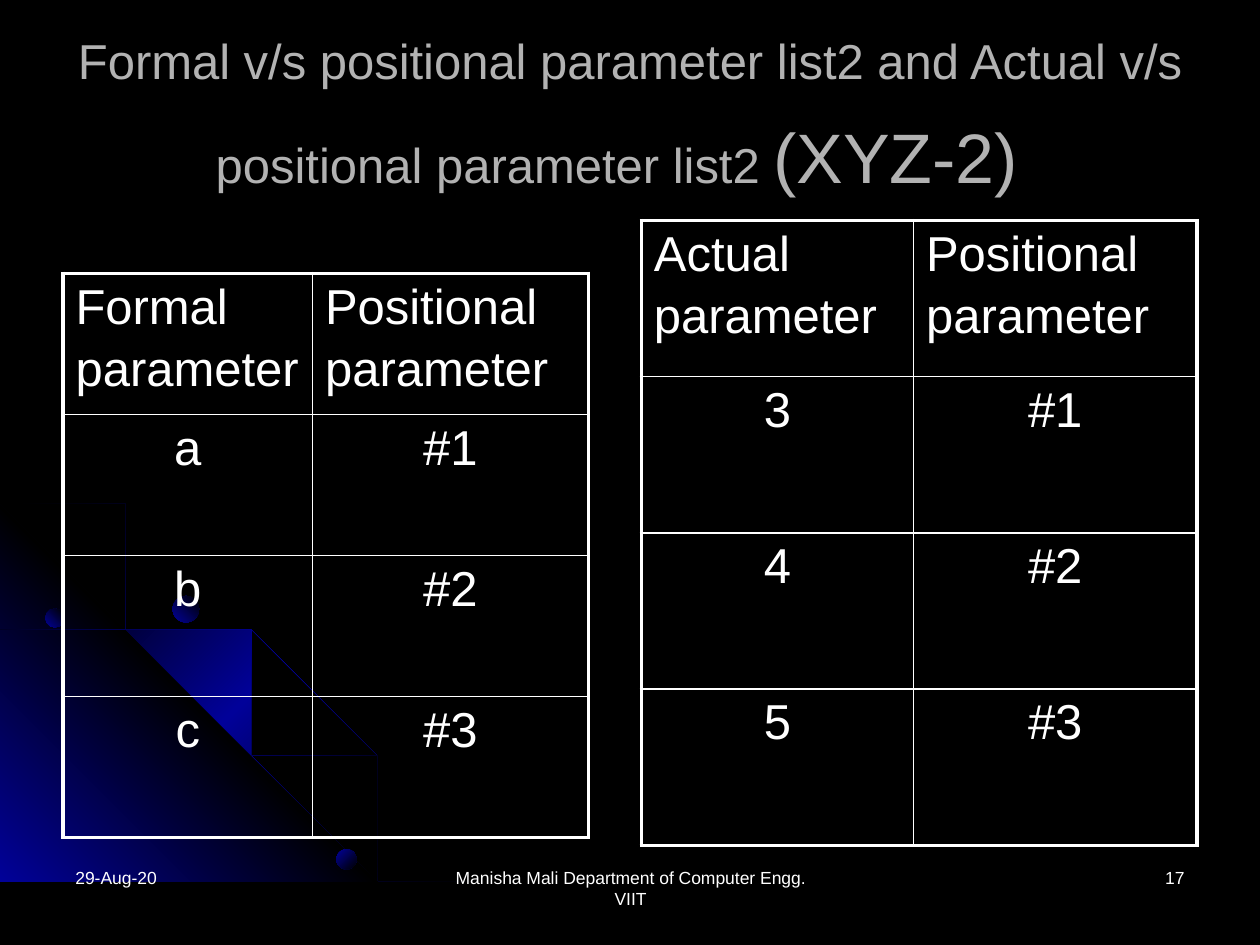
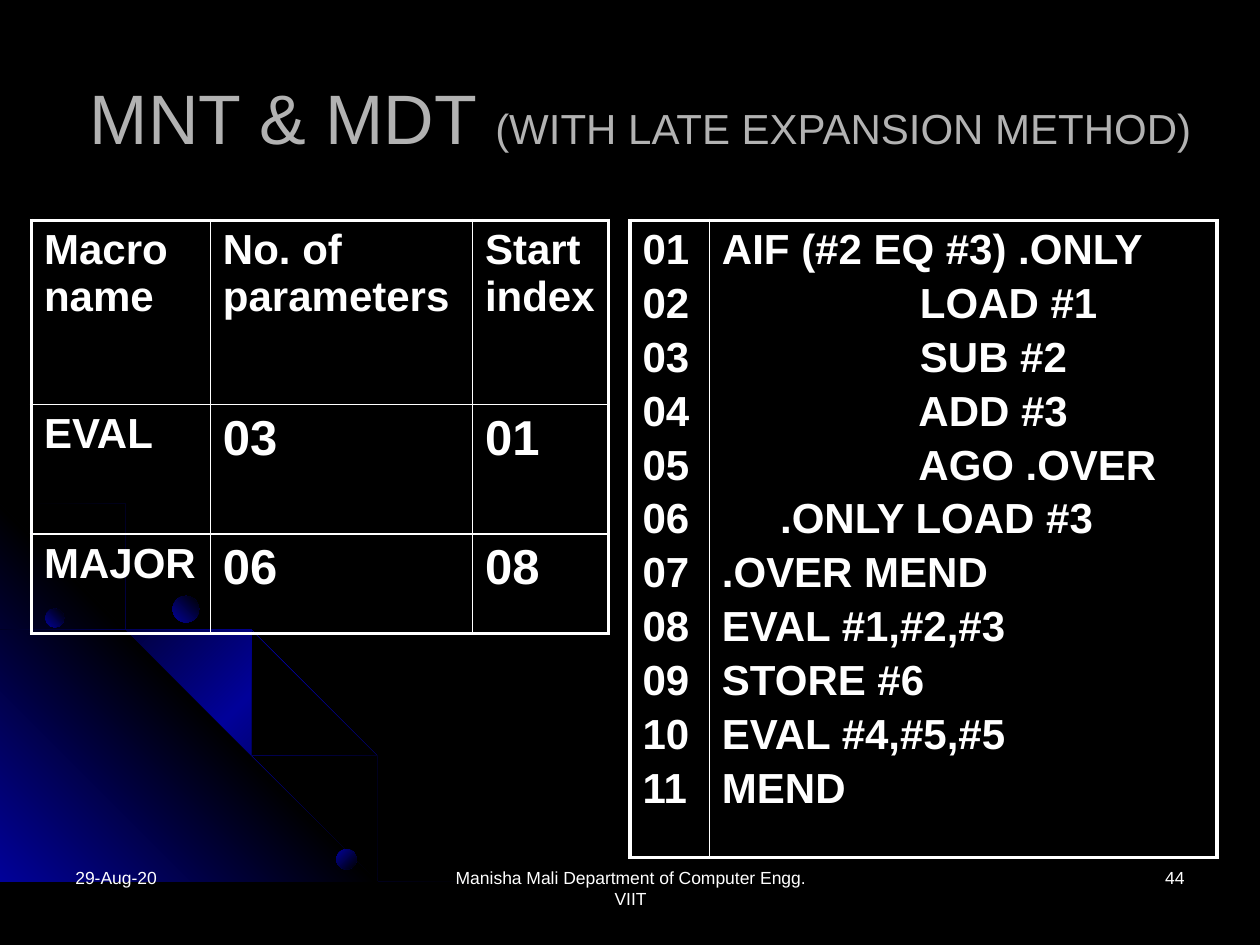
from lxml import etree
from pptx import Presentation
from pptx import util as u
from pptx.dml.color import RGBColor
from pptx.enum import shapes, text
from pptx.oxml import ns

BLACK = RGBColor(0x00, 0x00, 0x00)
BLUE = RGBColor(0x01, 0x01, 0x99)
WHITE = RGBColor(0xFF, 0xFF, 0xFF)
SILVER = RGBColor(0xB2, 0xB2, 0xB2)
FONT = "Arial"
LEFT, CENTER, RIGHT = text.PP_ALIGN.LEFT, text.PP_ALIGN.CENTER, text.PP_ALIGN.RIGHT

OUTER_LINE, INNER_LINE = 2.25, 1
TITLE_TOP, TITLE_HEIGHT = 0.3, 1.25
FOOTER_TOP, FOOTER_HEIGHT = 6.83, 0.5

# Corner decoration: outlines in inches
CORNER = [(3.22, 7.49), (0, 7.49), (0, 4.27)]
WIDE_ARC = [
    (0.57, 4.47), (0.28, 4.41), (0, 4.35), (0, 4.38), (0.28, 4.43), (0.56, 4.49),
    (0.97, 4.61), (1.35, 4.78), (1.73, 4.99), (2.08, 5.23), (2.41, 5.49), (2.71, 5.79),
    (2.98, 6.12), (3.23, 6.49), (3.37, 6.73), (3.5, 6.98), (3.6, 7.23), (3.7, 7.49),
    (3.72, 7.49), (3.62, 7.23), (3.52, 6.98), (3.39, 6.73), (3.25, 6.48), (3, 6.11),
    (2.72, 5.78), (2.42, 5.48), (2.09, 5.21), (1.74, 4.97), (1.36, 4.77), (0.98, 4.59),
]
LOW_ARC = [
    (2.85, 7.14), (2.94, 7.32), (3.01, 7.49), (3.03, 7.49), (2.96, 7.3), (2.86, 7.12),
    (2.66, 6.76), (2.42, 6.4), (2.15, 6.06), (1.84, 5.76), (1.52, 5.49), (1.17, 5.26),
    (0.79, 5.05), (0.41, 4.88), (0, 4.75), (0, 4.77), (0.39, 4.9), (0.77, 5.07),
    (1.15, 5.28), (1.5, 5.51), (1.83, 5.78), (2.13, 6.08), (2.4, 6.41), (2.65, 6.77),
]
MIDDLE_ARC = [
    (0, 4.42), (0, 4.44), (0.36, 4.57), (0.74, 4.75), (1.09, 4.94), (1.42, 5.18),
    (1.73, 5.44), (2.02, 5.75), (2.27, 6.05), (2.52, 6.41), (2.67, 6.67), (2.8, 6.94),
    (2.92, 7.22), (3.01, 7.49), (3.03, 7.49), (2.94, 7.2), (2.82, 6.93), (2.69, 6.65),
    (2.54, 6.39), (2.29, 6.03), (2.04, 5.73), (1.75, 5.43), (1.44, 5.16), (1.11, 4.93),
    (0.76, 4.73), (0.39, 4.55),
]
ARC_COLORS = (BLACK, BLUE, BLACK)
OUTLINES = [
    (WIDE_ARC, ARC_COLORS, 45),
    (CORNER, (BLUE, BLACK, BLUE), 315),
    (LOW_ARC, ARC_COLORS, 45),
    (MIDDLE_ARC, ARC_COLORS, 45),
]
DOTS = [(0.36, 4.83, 0.15, 315), (2.67, 6.74, 0.16, 45), (1.37, 4.73, 0.21, 315)]

MACRO_CODE = [
    "AIF (#2 EQ #3) .ONLY",
    "                 LOAD #1",
    "                 SUB #2",
    "                 ADD #3",
    "                 AGO .OVER",
    "     .ONLY LOAD #3",
    ".OVER MEND",
    "EVAL #1,#2,#3",
    "STORE #6",
    "EVAL #4,#5,#5",
    "MEND",
]


def set_font(font, size, color=WHITE, bold=False):
    font.name, font.size, font.bold = FONT, u.Pt(size), bold
    font.color.rgb = color


def paint_gradient(shape, colors, angle):
    """Evenly spaced colour stops, angle in degrees clockwise; no outline."""
    shape.shadow.inherit = False
    shape.line.fill.background()
    shape.fill.background()
    gradient = etree.Element(ns.qn("a:gradFill"), rotWithShape="1")
    stops = etree.SubElement(gradient, ns.qn("a:gsLst"))
    for index, color in enumerate(colors):
        position = 100000 * index // (len(colors) - 1)
        stop = etree.SubElement(stops, ns.qn("a:gs"), pos=str(position))
        etree.SubElement(stop, ns.qn("a:srgbClr"), val=str(color))
    etree.SubElement(gradient, ns.qn("a:lin"), ang=str(angle * 60000), scaled="1")
    properties = shape.element.spPr
    properties.replace(properties.find(ns.qn("a:noFill")), gradient)


def add_corner_art(page):
    for points, colors, angle in OUTLINES:
        builder = page.shapes.build_freeform(*points[0], scale=u.Inches(1))
        builder.add_line_segments(points[1:], close=True)
        paint_gradient(builder.convert_to_shape(), colors, angle)
    for left, top, size, angle in DOTS:
        dot = page.shapes.add_shape(
            shapes.MSO_SHAPE.OVAL, u.Inches(left), u.Inches(top), u.Inches(size), u.Inches(size))
        paint_gradient(dot, (BLUE, BLACK), angle)


def add_text(page, left, top, width, height, spans, color=WHITE, align=LEFT,
             anchor=text.MSO_ANCHOR.TOP):
    """One paragraph made of (words, size) spans."""
    box = page.shapes.add_textbox(
        u.Inches(left), u.Inches(top), u.Inches(width), u.Inches(height))
    box.text_frame.word_wrap = True
    box.text_frame.vertical_anchor = anchor
    para = box.text_frame.paragraphs[0]
    para.alignment = align
    for words, size in spans:
        span = para.add_run()
        span.text = words
        set_font(span.font, size, color)


def add_page(deck, number, title_spans, title_width):
    page = deck.slides.add_slide(deck.slide_layouts[6])
    page.background.fill.solid()
    page.background.fill.fore_color.rgb = BLACK
    add_corner_art(page)
    add_text(page, 0.5, TITLE_TOP, title_width, TITLE_HEIGHT, title_spans,
             SILVER, CENTER, text.MSO_ANCHOR.MIDDLE)
    footers = [
        (0.5, 2.33, "29-Aug-20", LEFT),
        (3.42, 3.17, "Manisha Mali Department of Computer Engg. VIIT", CENTER),
        (7.17, 2.33, str(number), RIGHT),
    ]
    for left, width, words, align in footers:
        add_text(page, left, FOOTER_TOP, width, FOOTER_HEIGHT, [(words, 10)], align=align)
    return page


def set_borders(cell, widths):
    """Line widths in points for the left, right, top and bottom edges."""
    properties = cell._tc.get_or_add_tcPr()
    for index, (side, width) in enumerate(zip("LRTB", widths)):
        line = etree.Element(ns.qn(f"a:ln{side}"), w=str(u.Pt(width)))
        fill = etree.SubElement(line, ns.qn("a:solidFill"))
        etree.SubElement(fill, ns.qn("a:srgbClr"), val=str(WHITE))
        properties.insert(index, line)


def fill_cell(cell, lines, size, bold, align):
    cell.fill.background()
    cell.text_frame.text = "\n".join(lines)
    for index, para in enumerate(cell.text_frame.paragraphs):
        para.alignment = align
        para.space_before = u.Pt(size / 6 if index else 0)
        set_font(para.font, size, bold=bold)


def add_grid(page, left, top, column_widths, row_heights, rows, cell_style):
    """Each cell is a list of lines; cell_style(row, column) gives size, bold, alignment."""
    last_row, last_column = len(row_heights) - 1, len(column_widths) - 1
    table = page.shapes.add_table(
        len(row_heights), len(column_widths), u.Inches(left), u.Inches(top),
        u.Inches(sum(column_widths)), u.Inches(sum(row_heights))).table
    table.first_row = table.horz_banding = False
    for column, width in zip(table.columns, column_widths):
        column.width = u.Inches(width)
    for row, height in zip(table.rows, row_heights):
        row.height = u.Inches(height)
    for r, row in enumerate(rows):
        for c, lines in enumerate(row):
            cell = table.cell(r, c)
            fill_cell(cell, lines, *cell_style(r, c))
            on_edge = (c == 0, c == last_column, r == 0, r == last_row)
            set_borders(cell, [OUTER_LINE if edge else INNER_LINE for edge in on_edge])


def add_parameter_table(page, left, top, column_widths, row_height, kind, names):
    rows = [[[kind, "parameter"], ["Positional", "parameter"]]]
    rows += [[[name], [f"#{index}"]] for index, name in enumerate(names, 1)]
    add_grid(page, left, top, column_widths, [row_height] * len(rows), rows,
             lambda r, c: (28, False, CENTER if r else LEFT))


def add_parameter_page(deck):
    title = [
        ("Formal v/s positional parameter list2 and Actual v/s positional parameter list2 ", 28),
        ("(XYZ-2)", 40),
        (" ", 54),
    ]
    page = add_page(deck, 17, title, 9)
    add_parameter_table(page, 0.5, 2.17, [1.98, 2.19], 1.12, "Formal", "abc")
    add_parameter_table(page, 5.09, 1.75, [2.16, 2.25], 1.24, "Actual", "345")


def add_macro_page(deck):
    title = [("MNT & MDT ", 40), ("(WITH LATE EXPANSION METHOD)", 24)]
    page = add_page(deck, 44, title, 9.17)
    # Macro name table
    names = [
        [["Macro name"], ["No. of parameters"], ["Start index"]],
        [["EVAL"], ["03"], ["01"]],
        [["MAJOR"], ["06"], ["08"]],
    ]
    add_grid(page, 0.25, 1.75, [1.42, 2.08, 1.08], [1.46, 1.03, 0.79], names,
             lambda r, c: (28 if r and c else 24, True, LEFT))
    # Macro definition table
    numbers = [f"{index:02}" for index in range(1, len(MACRO_CODE) + 1)]
    add_grid(page, 5, 1.75, [0.63, 4.03], [4.85], [[numbers, MACRO_CODE]],
             lambda r, c: (24, True, LEFT))


def main():
    deck = Presentation()
    deck.slide_width, deck.slide_height = u.Inches(10), u.Inches(7.5)
    add_parameter_page(deck)
    add_macro_page(deck)
    deck.save("out.pptx")


if __name__ == "__main__":
    main()
